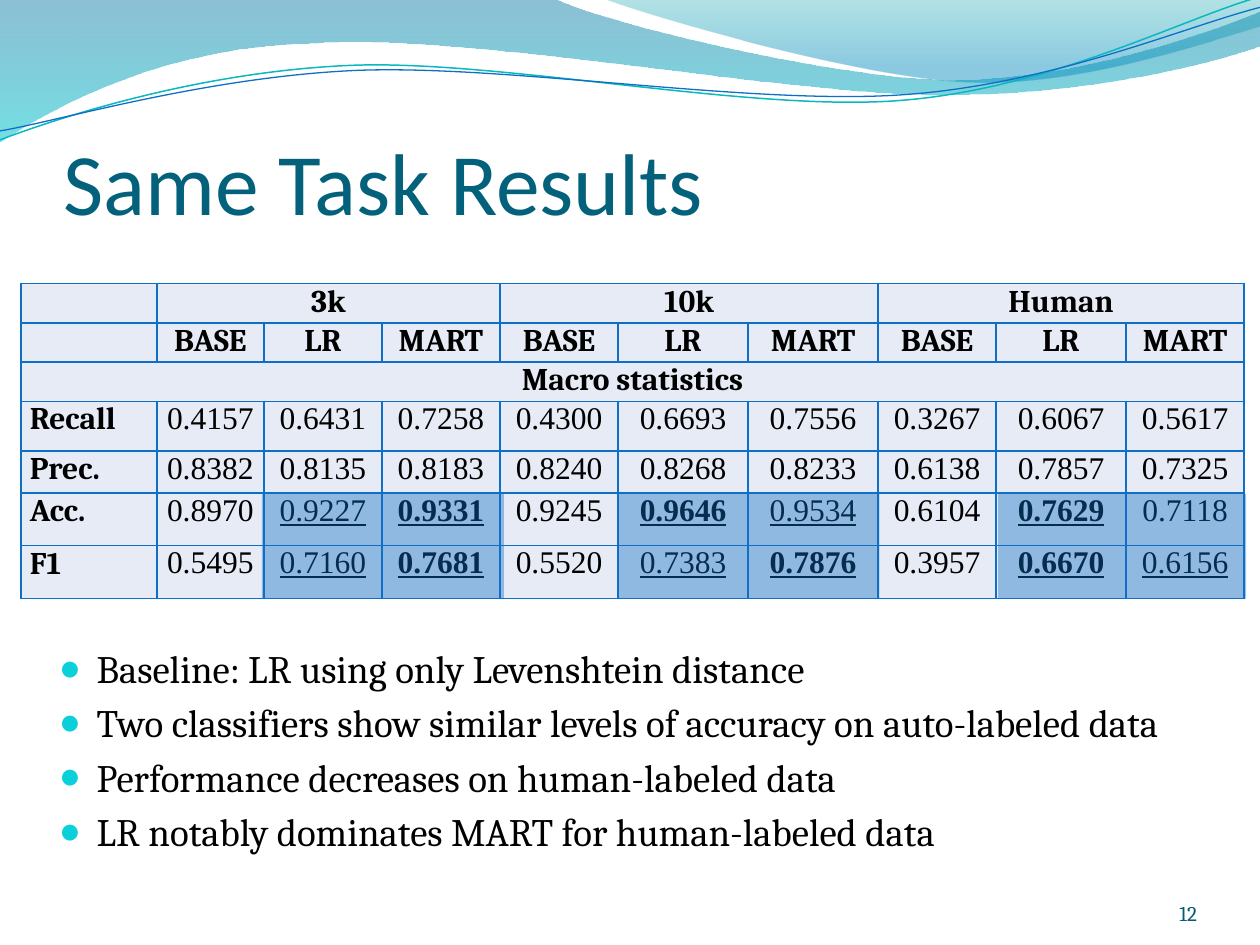
from dataclasses import dataclass

from pptx import Presentation
from pptx.dml.color import RGBColor as RGB
from pptx.enum.shapes import MSO_SHAPE as Shape
from pptx.enum.text import MSO_ANCHOR as Anchor, PP_ALIGN as Align
from pptx.oxml import parse_xml
from pptx.oxml.ns import nsdecls, qn
from pptx.util import Cm, Pt


@dataclass(frozen=True)
class Theme:
    title: str = "04617B"
    number: str = "045D75"
    text: str = "000000"
    bullet: str = "0BD0D9"
    cell: str = "E7EBF5"
    blue: str = "0F6FC6"
    teal: str = "0AB8BF"
    wave: tuple = ((0, "0074A1", 45), (100, "00C6CF", 55))
    crest: tuple = ((0, "00A1A9", 30), (80, "008BBF", 45))
    head: str = "Calibri"
    body: str = "Cambria"
    digits: str = "Times New Roman"
    big: float = 50
    mid: float = 22.2
    grid: float = 18
    small: float = 12


def node(name, inner="", attrs=""):
    return parse_xml(f"<a:{name} {nsdecls('a')} {attrs}>{inner}</a:{name}>")


def write(para, text, color, form):
    """Add a run to para and set its font from the dict form."""
    run = para.add_run()
    run.text = text
    run.font.color.rgb = RGB.from_string(color)
    for key, val in form.items():
        setattr(run.font, key, val)


look = Theme()
deck = Presentation()
deck.slide_width, deck.slide_height = Cm(25.4), Cm(19.05)
slide = deck.slides.add_slide(deck.slide_layouts[6])
shapes = slide.shapes

# Waves in cm: a step of two numbers is a line, of six a Bezier curve
waves = [
    ((0, 0), look.wave, None, [
        (11.18, -0.03),
        (12.09, 0.43, 16.87, 1.6, 19.25, 1.6),
        (21.67, 1.6, 24.33, 0.66, 25.4, 0.23),
        (25.43, 0.91),
        (24.97, 1.12, 22.1, 1.93, 18.95, 1.91),
        (15.8, 1.91, 9.7, 0.71, 6.53, 0.86),
        (3.28, 0.91, 1.17, 2.11, -0.03, 2.87)]),
    ((12.17, -0.03), look.crest, None, [
        (12.93, 0.28, 17.32, 1.57, 19.53, 1.65),
        (21.74, 1.75, 24.41, 0.81, 25.4, 0.53),
        (25.4, 0)]),
    ((0, 2.82), look.teal, 0.85, [
        (1.22, 2.36, 4.01, 1.45, 7.04, 1.32),
        (10.03, 1.19, 15.06, 2.26, 18.11, 2.03),
        (21.16, 1.8, 23.83, 0.38, 25.35, -0.05)]),
    ((0, 2.64), look.blue, 0.75, [
        (1.19, 2.44, 4.17, 1.55, 7.19, 1.42),
        (10.24, 1.3, 15.16, 2.13, 18.21, 1.91),
        (21.23, 1.7, 23.9, 0.53, 25.4, 0.15)]),
]
for start, paint, width, steps in waves:
    pen = shapes.build_freeform(Cm(start[0]), Cm(start[1]))
    pen.add_line_segments([(Cm(s[-2]), Cm(s[-1])) for s in steps], close=width is None)
    wave = pen.convert_to_shape()
    props = wave._element.spPr
    for line, step in zip(list(props.iter(qn("a:lnTo"))), steps):
        if len(step) == 6:
            pts = "".join(f'<a:pt x="{Cm(x) - wave.left}" y="{Cm(y) - wave.top}"/>'
                          for x, y in zip(step[::2], step[1::2]))
            line.getparent().replace(line, node("cubicBezTo", pts))
    wave.shadow.inherit = False
    wave.fill.background()
    if width:
        wave.line.color.rgb = RGB.from_string(paint)
        wave.line.width = Pt(width)
    else:
        wave.line.fill.background()
        stops = "".join(
            f'<a:gs pos="{pos}000"><a:srgbClr val="{color}"><a:alpha val="{alpha}000"/>'
            f"</a:srgbClr></a:gs>" for pos, color, alpha in paint)
        fill = node("gradFill", f'<a:gsLst>{stops}</a:gsLst><a:lin ang="5400000" scaled="0"/>')
        props.replace(props.find(qn("a:noFill")), fill)

# Title, bullets, slide number
points = [
    "Baseline: LR using only Levenshtein distance",
    "Two classifiers show similar levels of accuracy on auto-labeled data",
    "Performance decreases on human-labeled data",
    "LR notably dominates MART for human-labeled data",
]
boxes = [
    ((1.28, 1.52, 22.86, 3.18), (0, 0.13, 0, 0), Anchor.BOTTOM, Align.LEFT,
     ["Same Task Results"], look.title, look.head, look.big),
    ((0.94, 12.86, 23.83, 4.75), (0.25, 0.13, 0.25, 0.13), Anchor.TOP, Align.LEFT,
     points, look.text, look.body, look.mid),
    ((22.02, 17.65, 2.11, 1.02), (0, 0, 0, 0), Anchor.BOTTOM, Align.RIGHT,
     ["12"], look.number, look.body, look.small),
]
sides = "margin_left", "margin_top", "margin_right", "margin_bottom"
for place, pads, anchor, align, lines, color, face, size in boxes:
    frame = shapes.add_textbox(*map(Cm, place)).text_frame
    form = dict(zip(sides, map(Cm, pads)), word_wrap=True, vertical_anchor=anchor)
    for key, val in form.items():
        setattr(frame, key, val)
    for i, line in enumerate(lines):
        para = frame.add_paragraph() if i else frame.paragraphs[0]
        para.alignment = align
        write(para, line, color, {"name": face, "size": Pt(size)})
        if lines is points:
            para.space_before = Pt(0.2 * size)
            props = para._p.get_or_add_pPr()
            props.set("marL", str(Cm(0.76)))
            props.set("indent", str(Cm(-0.76)))
            props.append(node("buClr", f'<a:srgbClr val="{look.bullet}"/>'))
            props.append(node("buSzPct", attrs='val="95000"'))
            props.append(node("buFont", attrs=f'typeface="{look.digits}"'))
            props.append(node("buChar", attrs='char="●"'))

# Results table: * is bold and underlined, _ is underlined
heads = ["BASE", "LR", "MART"]
rows = [
    ["", "3k", "", "", "10k", "", "", "Human", "", ""],
    [""] + heads * 3,
    ["Macro statistics"] + [""] * 9,
    "Recall 0.4157 0.6431 0.7258 0.4300 0.6693 0.7556 0.3267 0.6067 0.5617".split(),
    "Prec. 0.8382 0.8135 0.8183 0.8240 0.8268 0.8233 0.6138 0.7857 0.7325".split(),
    "Acc. 0.8970 _0.9227 *0.9331 0.9245 *0.9646 _0.9534 0.6104 *0.7629 0.7118".split(),
    "F1 0.5495 _0.7160 *0.7681 0.5520 _0.7383 *0.7876 0.3957 *0.6670 _0.6156".split(),
]
wide = [2.74, 2.16, 2.38, 2.38, 2.38, 2.62, 2.62, 2.38, 2.62, 2.38]
high = [0.79, 0.79, 0.79, 1, 0.85, 1.06, 1.06]
table = shapes.add_table(7, 10, Cm(0.42), Cm(5.72), Cm(sum(wide)), Cm(sum(high))).table
table.first_row = table.horz_banding = False
for col, width in zip(table.columns, wide):
    col.width = Cm(width)
for row, height in zip(table.rows, high):
    row.height = Cm(height)
for left in (1, 4, 7):
    table.cell(0, left).merge(table.cell(0, left + 2))
table.cell(2, 0).merge(table.cell(2, 9))

edge = f'<a:solidFill><a:srgbClr val="{look.blue}"/></a:solidFill>'
for r, row in enumerate(rows):
    for c, text in enumerate(row):
        cell = table.cell(r, c)
        for key, pad in zip(sides, (0.18, 0, 0.18, 0)):
            setattr(cell, key, Cm(pad))
        cell.fill.solid()
        cell.fill.fore_color.rgb = RGB.from_string(look.cell)
        props = cell._tc.get_or_add_tcPr()
        for i, side in enumerate("LRTB"):
            props.insert(i, node("ln" + side, edge, f'w="{Pt(1)}"'))
        if text:
            para = cell.text_frame.paragraphs[0]
            para.space_after = Pt(4)
            para.alignment = Align.JUSTIFY if r > 2 and c == 0 else Align.CENTER
            label = r < 3 or c == 0
            write(para, text.lstrip("*_"), look.text, {
                "name": look.body if label else look.digits,
                "size": Pt(look.grid),
                "bold": label or text[0] == "*",
                "underline": text[0] in "*_"})

# Tints over the classifier scores
for left, width in ((5.28, 4.88), (12.45, 5.28), (20.12, 5)):
    tint = shapes.add_shape(Shape.RECTANGLE, Cm(left), Cm(9.96), Cm(width), Cm(2.11))
    tint.shadow.inherit = False
    tint.line.fill.background()
    tint.fill.solid()
    tint.fill.fore_color.rgb = RGB.from_string(look.blue)
    shade = tint._element.spPr.find(qn("a:solidFill"))
    shade[0].append(node("alpha", attrs='val="40000"'))

deck.save("out.pptx")
